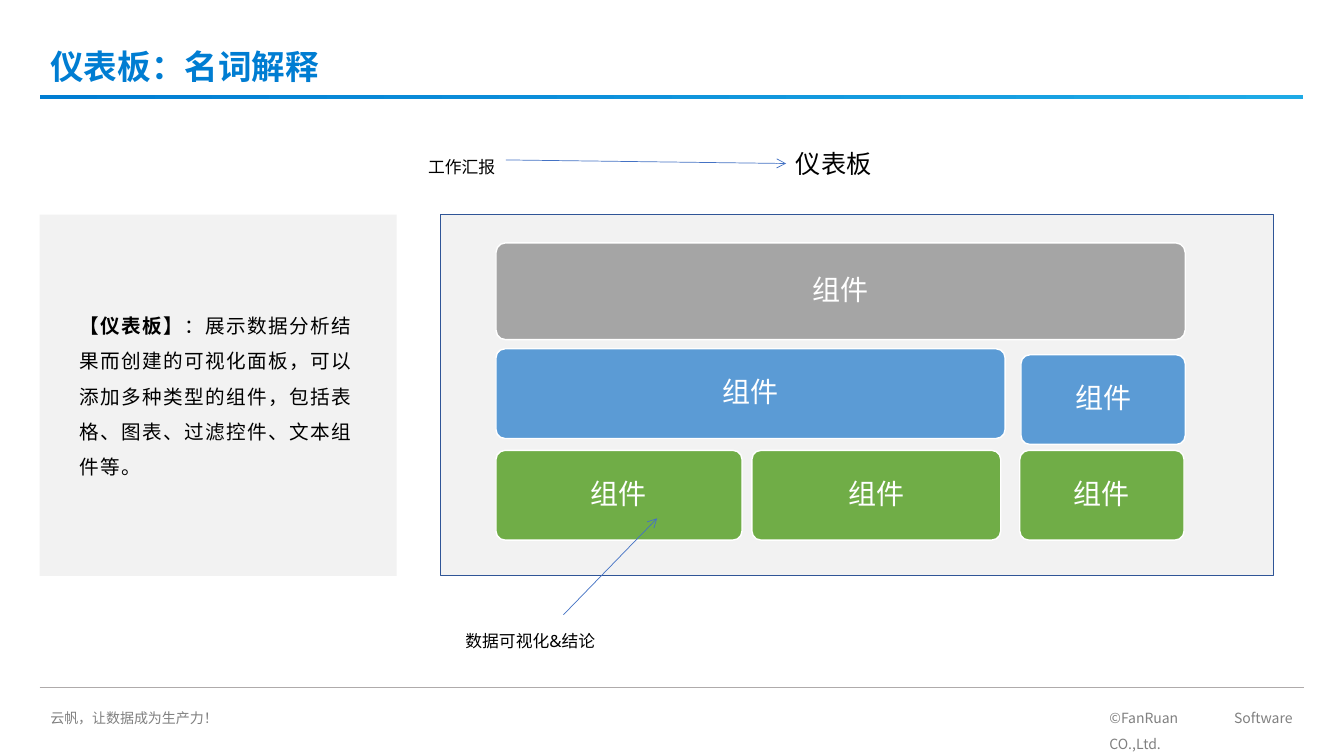
from lxml import etree
from pptx import Presentation
from pptx.dml.color import RGBColor
from pptx.enum.shapes import MSO_CONNECTOR, MSO_SHAPE
from pptx.enum.text import MSO_ANCHOR, PP_ALIGN
from pptx.oxml.ns import qn
from pptx.util import Cm, Pt

RECTANGLE, ROUNDED = MSO_SHAPE.RECTANGLE, MSO_SHAPE.ROUNDED_RECTANGLE
STRAIGHT = MSO_CONNECTOR.STRAIGHT
TOP, MIDDLE = MSO_ANCHOR.TOP, MSO_ANCHOR.MIDDLE
CENTER, JUSTIFY = PP_ALIGN.CENTER, PP_ALIGN.JUSTIFY
SANS, CJK = "Noto Sans", "Noto Sans CJK SC"
RIGHT_SIDE, LEFT_SIDE = 3, 1

# Content: lengths in centimetres
TITLE = "仪表板：名词解释"
TERM = "【仪表板】"
DEFINITION = "：展示数据分析结果而创建的可视化面板，可以添加多种类型的组件，包括表格、图表、过滤控件、文本组件等。"
FOOTERS = [
    ("©FanRuan Software CO.,Ltd.", 27.71, 5.11),
    ("云帆，让数据成为生产力！", 1.02, 4.78),
]
COMPONENT = "组件"
COMPONENTS = [  # colour, left, top, width, height
    ("A5A5A5", 12.5, 6.12, 17.37, 2.44),
    ("5B9BD5", 12.5, 8.79, 12.83, 2.26),
    ("5B9BD5", 25.73, 8.94, 4.14, 2.26),
    ("70AD47", 12.5, 11.35, 6.2, 2.26),
    ("70AD47", 18.95, 11.35, 6.27, 2.26),
    ("70AD47", 25.7, 11.35, 4.14, 2.26),
]
MARGIN, CONTENT_WIDTH = 1, 31.85
PANEL_TOP, PANEL_HEIGHT = 5.41, 9.1

presentation = Presentation()
presentation.slide_width, presentation.slide_height = Cm(33.87), Cm(19.05)
slide = presentation.slides.add_slide(presentation.slide_layouts[6])


def color(value):
    return RGBColor.from_string(value)


def add_block(kind, box, fill=None, line=None):
    shape = slide.shapes.add_shape(kind, *map(Cm, box))
    shape.shadow.inherit = False
    if fill:
        shape.fill.solid()
        shape.fill.fore_color.rgb = color(fill)
    if line:
        shape.line.color.rgb = color(line)
        shape.line.width = Pt(1)
    else:
        shape.line.fill.background()
    return shape


def write(shape, texts, size, text_color="000000", font=SANS, spacing=None,
          align=None, anchor=TOP, bold=None, wrap=True):
    frame = shape.text_frame
    frame.word_wrap = wrap
    frame.vertical_anchor = anchor
    paragraph = frame.paragraphs[0]
    for text in texts:
        paragraph.add_run().text = text
    paragraph.alignment = align
    paragraph.line_spacing = spacing
    paragraph.font.size = Pt(size)
    paragraph.font.name = font
    paragraph.font.bold = bold
    paragraph.font.color.rgb = color(text_color)
    # East Asian typeface follows the Latin one
    latin = next(paragraph._p.iter(qn("a:latin")))
    east_asian = etree.Element(qn("a:ea"), typeface=CJK)
    latin.addnext(east_asian)
    return paragraph


def add_text(box, texts, size, **style):
    shape = slide.shapes.add_textbox(*map(Cm, box))
    return shape, write(shape, texts, size, **style)


def add_line(start, end, line_color, arrow=False):
    connector = slide.shapes.add_connector(STRAIGHT, *map(Cm, start + end))
    connector.line.color.rgb = color(line_color)
    connector.line.width = Pt(0.5)
    properties = connector._element.spPr
    if arrow:
        outline = properties.find(qn("a:ln"))
        etree.SubElement(outline, qn("a:tailEnd"), type="arrow")
    etree.SubElement(properties, qn("a:effectLst"))
    return connector


# Header bar and footer
bar = add_block(RECTANGLE, (MARGIN, 2.39, CONTENT_WIDTH, 0.1))
bar.fill.gradient()
bar.fill.gradient_angle = 0
for stop, stop_color in zip(bar.fill.gradient_stops, ("007DD2", "1EAAE6")):
    stop.color.rgb = color(stop_color)
add_line((MARGIN, 17.32), (MARGIN + CONTENT_WIDTH, 17.32), "AFABAB")
for text, left, width in FOOTERS:
    add_text((left, 17.55, width, 0.84), [text], 10, text_color="808080",
             font=CJK, spacing=1.5, align=JUSTIFY)

# Title
add_text((1.02, 1.14, 27.74, 1.19), [TITLE], 24, text_color="007DD2",
         spacing=0.9, anchor=MIDDLE, bold=True)

# Definition panel
add_block(RECTANGLE, (MARGIN, PANEL_TOP, 9, PANEL_HEIGHT), "F2F2F2")
_, definition = add_text((1.75, 7.49, 7.44, 5.18), [TERM, DEFINITION], 14,
                         spacing=1.5)
definition.runs[0].font.bold = True
for run in definition.runs:
    run._r.get_or_add_rPr().set("spc", "100")

# Dashboard with its components
add_block(RECTANGLE, (11.1, PANEL_TOP, 21, PANEL_HEIGHT), "F2F2F2", "2F5597")
for fill, *box in COMPONENTS:
    component = add_block(ROUNDED, box, fill, "FFFFFF")
    component.adjustments[0] = 0.1
    write(component, [COMPONENT], 20, text_color="FFFFFF", font=CJK,
          spacing=0.9, align=CENTER, anchor=MIDDLE)

# Labels and arrows
dashboard, _ = add_text((19.81, 3.61, 2.44, 1.02), ["仪表板"], 18, wrap=False)
add_text((11.48, 15.52, 4.85, 0.94), ["数据可视化&结论"], 12, spacing=1.5)
report, _ = add_text((10.54, 3.56, 2.21, 0.94), ["工作汇报"], 12,
                     spacing=1.5, wrap=False)
add_line((14.2, 15.49), (16.56, 13.06), "4472C4", arrow=True)
report_arrow = add_line((12.75, 4.03), (19.81, 4.12), "4472C4", arrow=True)
report_arrow.begin_connect(report, RIGHT_SIDE)
report_arrow.end_connect(dashboard, LEFT_SIDE)

presentation.save("out.pptx")
